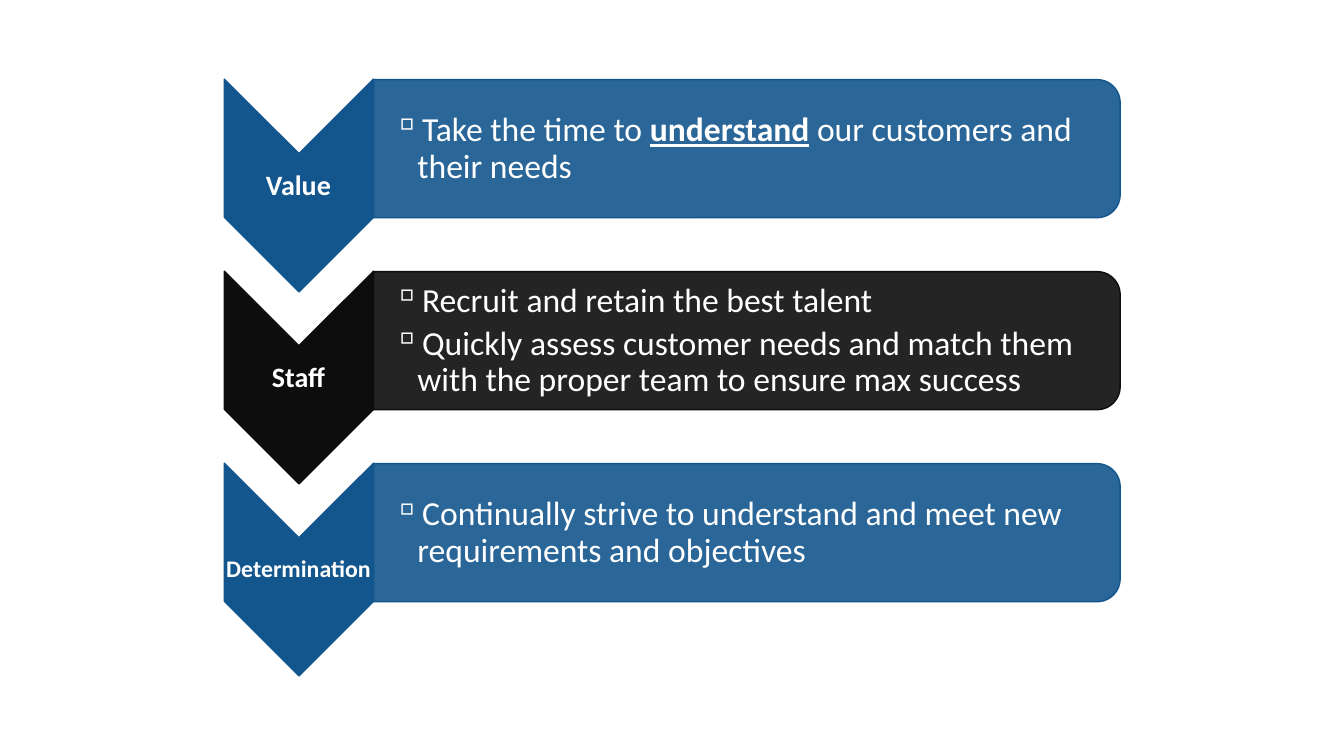
from lxml import etree
from pptx import Presentation
from pptx.dml.color import RGBColor
from pptx.enum.shapes import MSO_SHAPE
from pptx.enum.text import MSO_ANCHOR, PP_ALIGN
from pptx.oxml.ns import qn
from pptx.util import Inches, Pt

CHEVRON = MSO_SHAPE.CHEVRON
ROUND_BAR = MSO_SHAPE.ROUND_2_SAME_RECTANGLE
MIDDLE = MSO_ANCHOR.MIDDLE
CENTER = PP_ALIGN.CENTER

BLUE, BLACK, WHITE = "13568D", "0D0D0D", "FFFFFF"
FIRST_ROW, ROW_PITCH = 1.1, 1.905

# label, label size, colour, bullets; a bullet is a list of (text, emphasised)
ROWS = [
    ("Value", 20, BLUE, [[("Take the time to ", False), ("understand", True),
                          (" our customers and their needs", False)]]),
    ("Staff", 20, BLACK, [[("Recruit and retain the best talent", False)],
                          [("Quickly assess customer needs and match them with "
                            "the proper team to ensure max success", False)]]),
    ("Determination", 17, BLUE, [[("Continually strive to understand and meet new "
                                   "requirements and objectives", False)]]),
]


def rgb(value):
    return RGBColor.from_string(value)


class SlideBuilder:
    font = "Calibri"

    def __init__(self, slide):
        self.s = slide

    def turned_shape(self, kind, x, y, w, h, color, opacity=100):
        """Add a shape turned by 90 degrees; x, y, w, h apply before the turn."""
        sp = self.s.shapes.add_shape(kind, Inches(x), Inches(y), Inches(w), Inches(h))
        sp.rotation = 90
        sp.shadow.inherit = False
        sp.fill.solid()
        sp.fill.fore_color.rgb = rgb(color)
        sp.line.color.rgb = rgb(color)
        sp.line.width = Pt(1)
        if opacity < 100:
            clr = sp.fill._xPr.find(qn("a:solidFill"))[0]
            etree.SubElement(clr, qn("a:alpha"), val=str(opacity * 1000))
        return sp

    def text_frame(self, x, y, w, h, margin, left_margin):
        tf = self.s.shapes.add_textbox(
            Inches(x), Inches(y), Inches(w), Inches(h)).text_frame
        tf.word_wrap = True
        tf.vertical_anchor = MIDDLE
        tf.margin_top = tf.margin_right = tf.margin_bottom = Inches(margin)
        tf.margin_left = Inches(left_margin)
        return tf

    def style_run(self, r, size, bold=False, underline=False):
        r.font.name = self.font
        r.font.size = Pt(size)
        r.font.bold = bold
        r.font.underline = underline
        r.font.color.rgb = rgb(WHITE)

    def label(self, x, y, w, h, text, size):
        tf = self.text_frame(x, y, w, h, 0.01, 0.01)
        p = tf.paragraphs[0]
        p.text = text
        p.alignment = CENTER
        p.line_spacing = 0.9
        self.style_run(p.runs[0], size, bold=True)

    def bullets(self, x, y, w, h, items):
        tf = self.text_frame(x, y, w, h, 0.02, 0.19)
        for i, item in enumerate(items):
            p = tf.add_paragraph() if i else tf.paragraphs[0]
            p.level = 1
            p.line_spacing = 0.9
            p.space_after = Pt(4.3)
            pPr = p._p.get_or_add_pPr()
            pPr.set("marL", str(Inches(0.25)))
            pPr.set("indent", str(-Inches(0.25)))
            etree.SubElement(pPr, qn("a:buChar"), char="▫")
            for text, emphasised in item:
                r = p.add_run()
                r.text = text
                self.style_run(r, 24, emphasised, emphasised)


def main():
    prs = Presentation()
    prs.slide_width, prs.slide_height = Inches(13.33), Inches(7.5)
    b = SlideBuilder(prs.slides.add_slide(prs.slide_layouts[6]))
    for i, (name, size, color, items) in enumerate(ROWS):
        y = FIRST_ROW + i * ROW_PITCH
        b.turned_shape(CHEVRON, 1.91, y, 2.11, 1.48, color)
        b.label(2.22, y + 0.43, 1.48, 0.63, name, size)
        b.turned_shape(ROUND_BAR, 6.72, y - 3.33, 1.37, 7.41, color, opacity=90)
        b.bullets(3.7, y - 0.24, 7.34, 1.24, items)
    prs.save("out.pptx")


if __name__ == "__main__":
    main()
